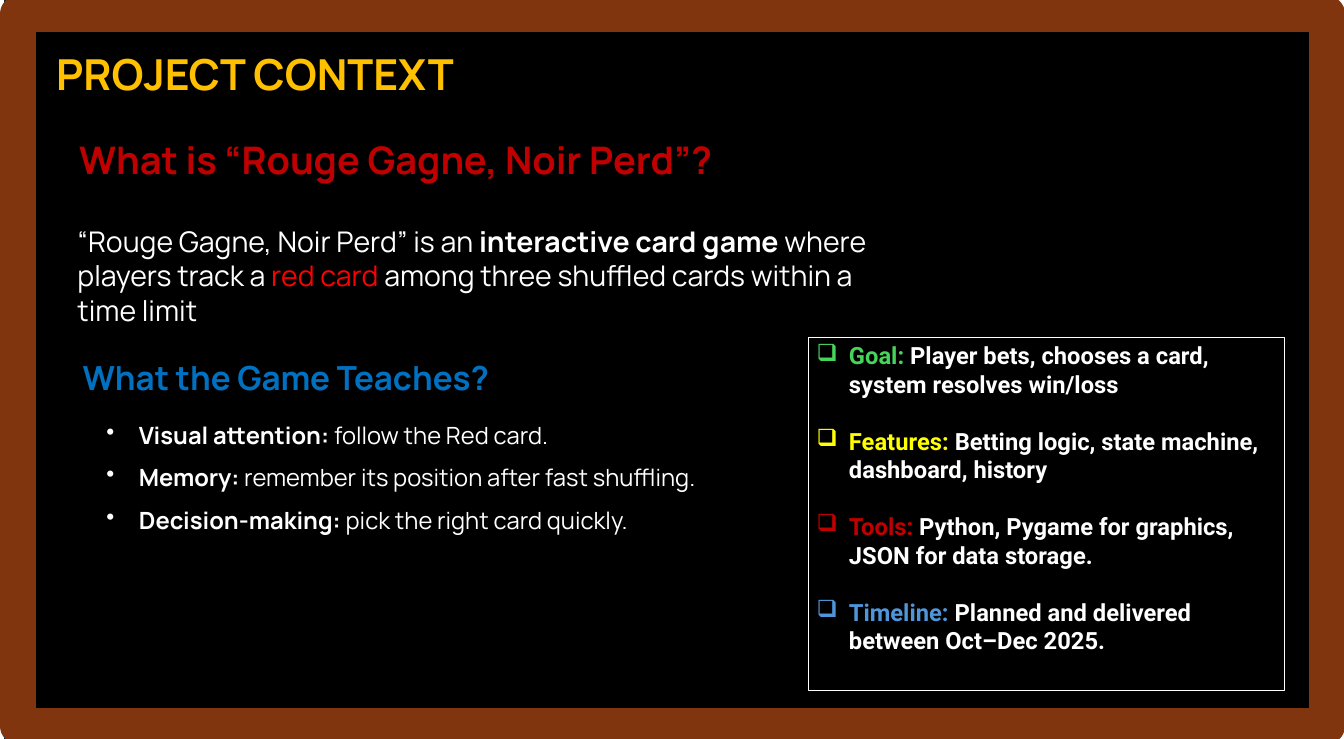
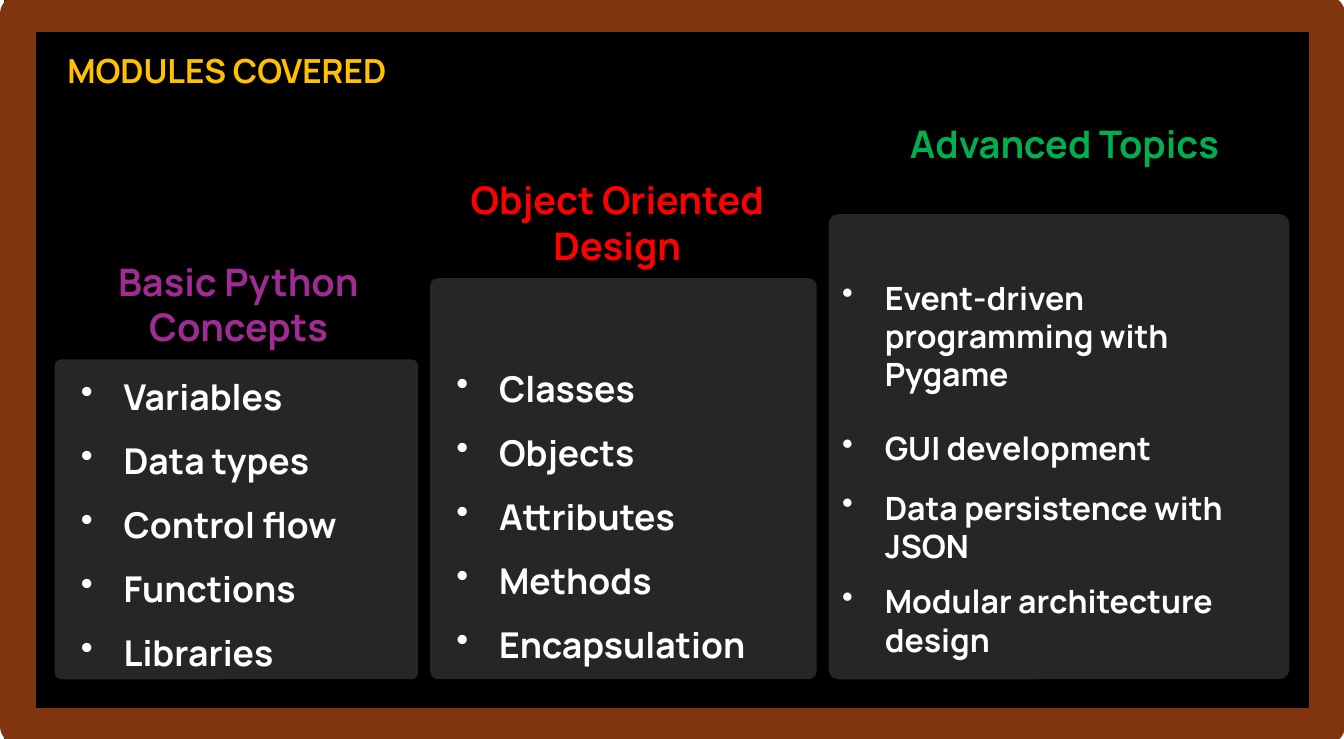
from lxml.etree import SubElement
from pptx import Presentation
from pptx.dml.color import RGBColor
from pptx.enum.shapes import MSO_SHAPE
from pptx.enum.text import PP_ALIGN
from pptx.oxml.ns import qn
from pptx.util import Inches, Pt

COLORS = {
    "panel": "000000", "panel_edge": "092A39", "frame": "80350E",
    "title": "FFC000", "text": "FFFFFF", "card": "262626",
    "crimson": "C00000", "red": "FF0000", "blue": "0070C0", "sky": "4E95D9",
    "lime": "47D45A", "yellow": "FFFF00", "purple": "A02B93", "green": "00B050",
}
FONT, FACTS_FONT = "Manrope", "Roboto"

# Content: a paragraph is a list of runs (text, colour, bold)
INTRO = [
    ("“Rouge Gagne, Noir Perd” is an ", "text", False),
    ("interactive card game", "text", True),
    (" where players track a ", "text", False),
    ("red card ", "red", False),
    ("among three shuffled cards within a time limit", "text", False),
]
LESSONS = [
    ("Visual attention: ", "follow the Red card."),
    ("Memory: ", "remember its position after fast shuffling."),
    ("Decision-making: ", "pick the right card quickly."),
]
FACTS = [
    ("Goal: ", "lime", "Player bets, chooses a card, system resolves win/loss"),
    ("Features: ", "yellow", "Betting logic, state machine, dashboard, history"),
    ("Tools: ", "crimson", "Python, Pygame for graphics, JSON for data storage."),
    ("Timeline: ", "sky", "Planned and delivered between Oct–Dec 2025."),
]
# Heading and topic positions are (left, top, width, height) in inches
MODULES = [
    dict(heading="Basic Python Concepts", color="purple", width=4.26, top=4.21,
         heading_at=(0.75, 2.98, 4.09, 1.18), topics_at=(0.85, 4.09, 3.89, 3.82),
         topics=["Variables", "Data types", "Control flow", "Functions", "Libraries"],
         size=30, line=1.5, before=(0,) * 5),
    dict(heading="Object Oriented Design", color="red", width=4.53, top=3.26,
         heading_at=(5.19, 2.02, 4.09, 1.18), topics_at=(5.25, 4, 4.09, 3.82),
         topics=["Classes", "Objects", "Attributes", "Methods", "Encapsulation"],
         size=30, line=1.5, before=(0,) * 5),
    dict(heading="Advanced Topics", color="green", width=5.4, top=2.51,
         heading_at=(10.43, 1.36, 4.09, 1.18), topics_at=(9.77, 3.21, 5.09, 4.7),
         topics=["Event-driven programming with Pygame", "GUI development",
                 "Data persistence with JSON", "Modular architecture design"],
         size=27, line=1, before=(0, 29.4, 18, 14.4)),
]
CARDS_LEFT, CARDS_BOTTOM, CARD_GAP, CARD_RADIUS = 0.64, 7.96, 0.14, 0.021


def color(name):
    return RGBColor.from_string(COLORS[name])


def add_box(slide, at, fill=None, line=None, weight=0.75, kind=MSO_SHAPE.RECTANGLE):
    box = slide.shapes.add_shape(kind, *map(Inches, at))
    box.shadow.inherit = False
    if fill:
        box.fill.solid()
        box.fill.fore_color.rgb = color(fill)
    else:
        box.fill.background()
    if line:
        box.line.color.rgb = color(line)
        box.line.width = Pt(weight)
    else:
        box.line.fill.background()
    return box


def write(frame, paragraphs, size, font=FONT, line=1, before=(), bullet=None,
          indent=0.38, align=PP_ALIGN.LEFT):
    frame.word_wrap = True
    for i, runs in enumerate(paragraphs):
        paragraph = frame.paragraphs[0] if i == 0 else frame.add_paragraph()
        paragraph.alignment = align
        paragraph.line_spacing = float(line)
        if before and before[i]:
            paragraph.space_before = Pt(before[i])
        if bullet:
            properties = paragraph._p.get_or_add_pPr()
            properties.set("marL", str(Inches(indent)))
            properties.set("indent", str(-Inches(indent)))
            SubElement(properties, qn("a:buChar")).set("char", bullet)
        for text, tone, bold in runs:
            run = paragraph.add_run()
            run.text = text
            run.font.name = font
            run.font.size = Pt(size)
            run.font.bold = bold
            run.font.color.rgb = color(tone)


def add_text(slide, at, paragraphs, size, **style):
    frame = slide.shapes.add_textbox(*map(Inches, at)).text_frame
    write(frame, paragraphs, size, **style)


def add_heading(slide, at, text, tone, size, **style):
    add_text(slide, at, [[(text, tone, True)]], size, **style)


def add_framed_slide(prs, title, title_at, title_size):
    slide = prs.slides.add_slide(prs.slide_layouts[6])
    add_box(slide, (0.06, 0, 15.6, 8.66), "panel", "panel_edge", 1.5)
    add_box(slide, (0.21, 0.16, 15.34, 8.35), None, "frame", 30.5)
    add_heading(slide, title_at, title, "title", title_size, line=1.2)
    return slide


def build_context(prs):
    slide = add_framed_slide(prs, "PROJECT CONTEXT", (0.56, 0.39, 11.59, 0.79), 36)

    # Project facts
    facts_box = add_box(slide, (9.47, 3.95, 5.58, 4.14), line="text")
    facts = [[(label, tone, True), (text, "text", True)] for label, tone, text in FACTS]
    facts_box.text_frame.vertical_anchor = 1  # top
    write(facts_box.text_frame, facts, 20, font=FACTS_FONT, bullet="❑",
          before=[0] + [24] * (len(FACTS) - 1))

    # Game description
    add_heading(slide, (0.83, 1.44, 8.64, 0.71), "What is “Rouge Gagne, Noir Perd”?",
                "crimson", 32, line=1.2)
    add_text(slide, (0.81, 2.58, 9.94, 1.72), [INTRO], 24)

    # Lessons
    add_heading(slide, (0.87, 4.05, 5.53, 0.64), "What the Game Teaches?",
                "blue", 28, line=1.2)
    lessons = [[(skill, "text", True), (text, "text", False)] for skill, text in LESSONS]
    add_text(slide, (1.15, 4.71, 7.94, 1.57), lessons, 20, line=1.5, bullet="•")


def build_modules(prs):
    slide = add_framed_slide(prs, "MODULES COVERED", (0.69, 0.45, 11.63, 0.63), 28)
    left = CARDS_LEFT
    for module in MODULES:
        top, width = module["top"], module["width"]
        card = add_box(slide, (left, top, width, CARDS_BOTTOM - top), "card",
                       kind=MSO_SHAPE.ROUNDED_RECTANGLE)
        card.adjustments[0] = CARD_RADIUS
        add_heading(slide, module["heading_at"], module["heading"], module["color"], 32,
                    align=PP_ALIGN.CENTER)
        topics = [[(topic, "text", True)] for topic in module["topics"]]
        add_text(slide, module["topics_at"], topics, module["size"], line=module["line"],
                 before=module["before"], bullet="•", indent=0.5)
        left += width + CARD_GAP


def main():
    prs = Presentation()
    prs.slide_width, prs.slide_height = Inches(15.75), Inches(8.66)
    build_context(prs)
    build_modules(prs)
    prs.save("out.pptx")


if __name__ == "__main__":
    main()
